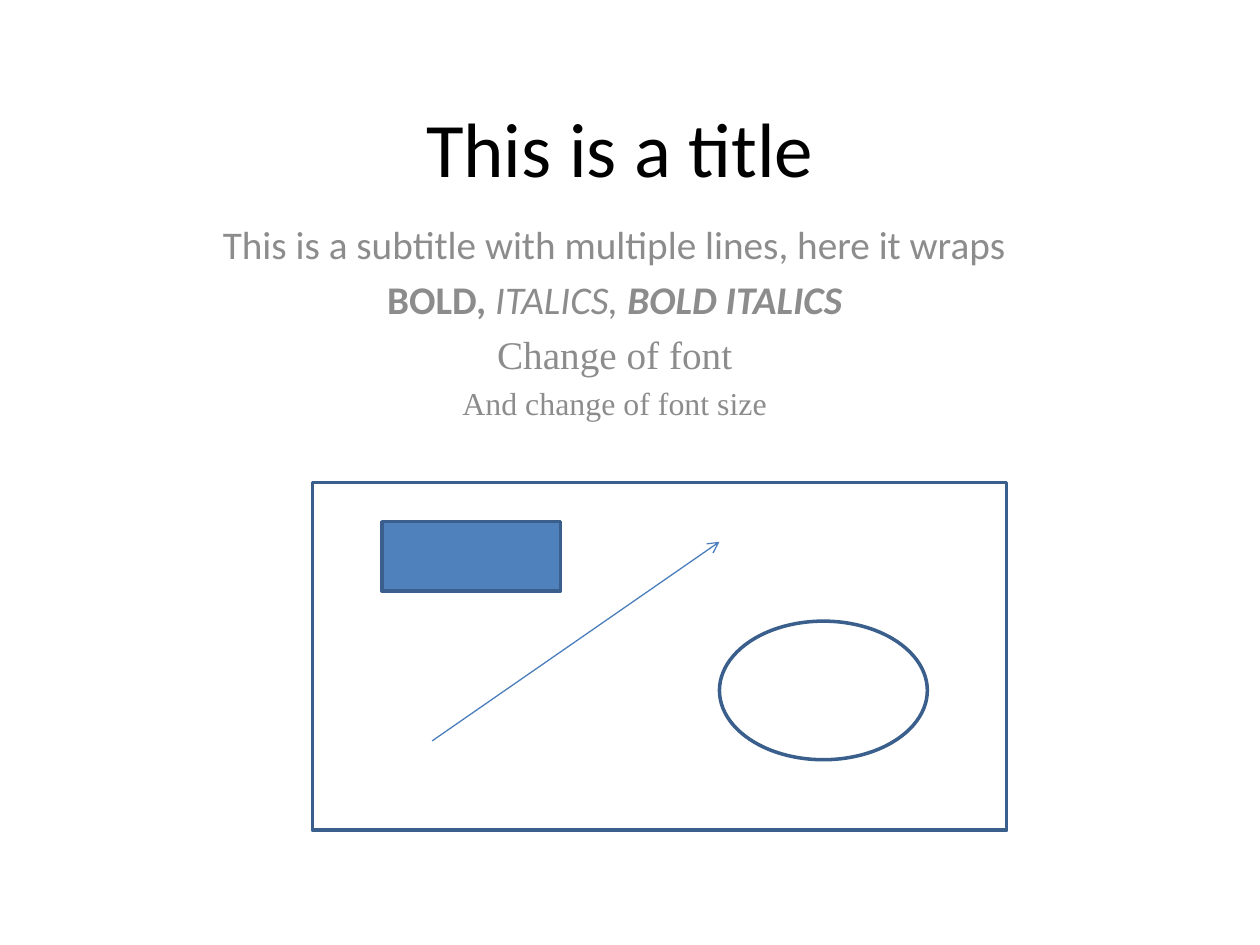
from dataclasses import dataclass
from typing import Optional

from lxml import etree
from pptx import Presentation
from pptx.dml.color import RGBColor
from pptx.enum.shapes import MSO_CONNECTOR, MSO_SHAPE
from pptx.enum.text import MSO_ANCHOR, MSO_AUTO_SIZE, PP_ALIGN
from pptx.oxml.ns import qn
from pptx.util import Inches, Pt

RECTANGLE, OVAL = MSO_SHAPE.RECTANGLE, MSO_SHAPE.OVAL
STRAIGHT = MSO_CONNECTOR.STRAIGHT
CENTER = PP_ALIGN.CENTER
TOP, MIDDLE = MSO_ANCHOR.TOP, MSO_ANCHOR.MIDDLE
NO_AUTOFIT = MSO_AUTO_SIZE.NONE

BLACK = RGBColor(0x00, 0x00, 0x00)
GRAY = RGBColor(0x8C, 0x8C, 0x8C)
BLUE = RGBColor(0x4F, 0x81, 0xBD)
OUTLINE_BLUE = RGBColor(0x3A, 0x5F, 0x8C)
ARROW_BLUE = RGBColor(0x4B, 0x7E, 0xBC)

SANS, SERIF = "Calibri", "Times New Roman"


@dataclass(frozen=True)
class Phrase:
    text: str
    size: float = 22.4
    name: str = SANS
    bold: bool = False
    italic: bool = False
    color: RGBColor = GRAY


@dataclass(frozen=True)
class Figure:
    kind: int
    box: tuple[float, float, float, float]
    fill: Optional[RGBColor] = None


TITLE = [[Phrase("This is a title", size=44, color=BLACK)]]
SUBTITLE = [
    [Phrase("This is a subtitle with multiple lines, here it wraps")],
    [
        Phrase("BOLD, ", bold=True),
        Phrase("ITALICS, ", italic=True),
        Phrase("BOLD ITALICS", bold=True, italic=True),
    ],
    [Phrase("Change of font", name=SERIF)],
    [Phrase("And change of font size", size=18.2, name=SERIF)],
]

FRAME = Figure(RECTANGLE, (2.48, 3.83, 5.51, 2.76))
ELLIPSE = Figure(OVAL, (5.71, 4.93, 1.65, 1.1))
FILLED_BOX = Figure(RECTANGLE, (3.03, 4.14, 1.42, 0.55), BLUE)
ARROW_START, ARROW_END = (3.43, 5.88), (5.71, 4.3)


def place(shape, box: tuple[float, float, float, float]) -> None:
    for side, length in zip(("left", "top", "width", "height"), box):
        setattr(shape, side, Inches(length))


def write(placeholder, lines: list[list[Phrase]], anchor) -> None:
    frame = placeholder.text_frame
    for key, value in {
        "word_wrap": True,
        "auto_size": NO_AUTOFIT,
        "vertical_anchor": anchor,
    }.items():
        setattr(frame, key, value)
    for index, phrases in enumerate(lines):
        paragraph = frame.add_paragraph() if index else frame.paragraphs[0]
        paragraph.alignment = CENTER
        for phrase in phrases:
            run = paragraph.add_run()
            run.text = phrase.text
            font_format = {
                "size": Pt(phrase.size),
                "name": phrase.name,
                "bold": phrase.bold,
                "italic": phrase.italic,
            }
            for key, value in font_format.items():
                setattr(run.font, key, value)
            run.font.color.rgb = phrase.color


def draw_figure(slide, figure: Figure) -> None:
    shape = slide.shapes.add_shape(figure.kind, *map(Inches, figure.box))
    shape.shadow.inherit = False
    if figure.fill is None:
        shape.fill.background()
    else:
        shape.fill.solid()
        shape.fill.fore_color.rgb = figure.fill
    shape.line.color.rgb = OUTLINE_BLUE
    shape.line.width = Pt(2)


def draw_arrow(slide, start: tuple[float, float], end: tuple[float, float]) -> None:
    arrow = slide.shapes.add_connector(STRAIGHT, *map(Inches, start + end))
    arrow.line.color.rgb = ARROW_BLUE
    arrow.line.width = Pt(0.75)
    properties = arrow.element.spPr
    outline = properties.find(qn("a:ln"))
    etree.SubElement(outline, qn("a:tailEnd"), type="arrow")
    etree.SubElement(properties, qn("a:effectLst"))


def main() -> None:
    presentation = Presentation()
    presentation.slide_width = Inches(10)
    presentation.slide_height = Inches(7.5)
    slide = presentation.slides.add_slide(presentation.slide_layouts[0])

    title, subtitle = slide.placeholders
    place(title, (0.67, 0.36, 8.5, 1.61))
    write(title, TITLE, MIDDLE)
    place(subtitle, (1.38, 1.7, 7, 1.92))
    write(subtitle, SUBTITLE, TOP)

    draw_figure(slide, FRAME)
    draw_arrow(slide, ARROW_START, ARROW_END)
    draw_figure(slide, ELLIPSE)
    draw_figure(slide, FILLED_BOX)

    presentation.save("out.pptx")


if __name__ == "__main__":
    main()
